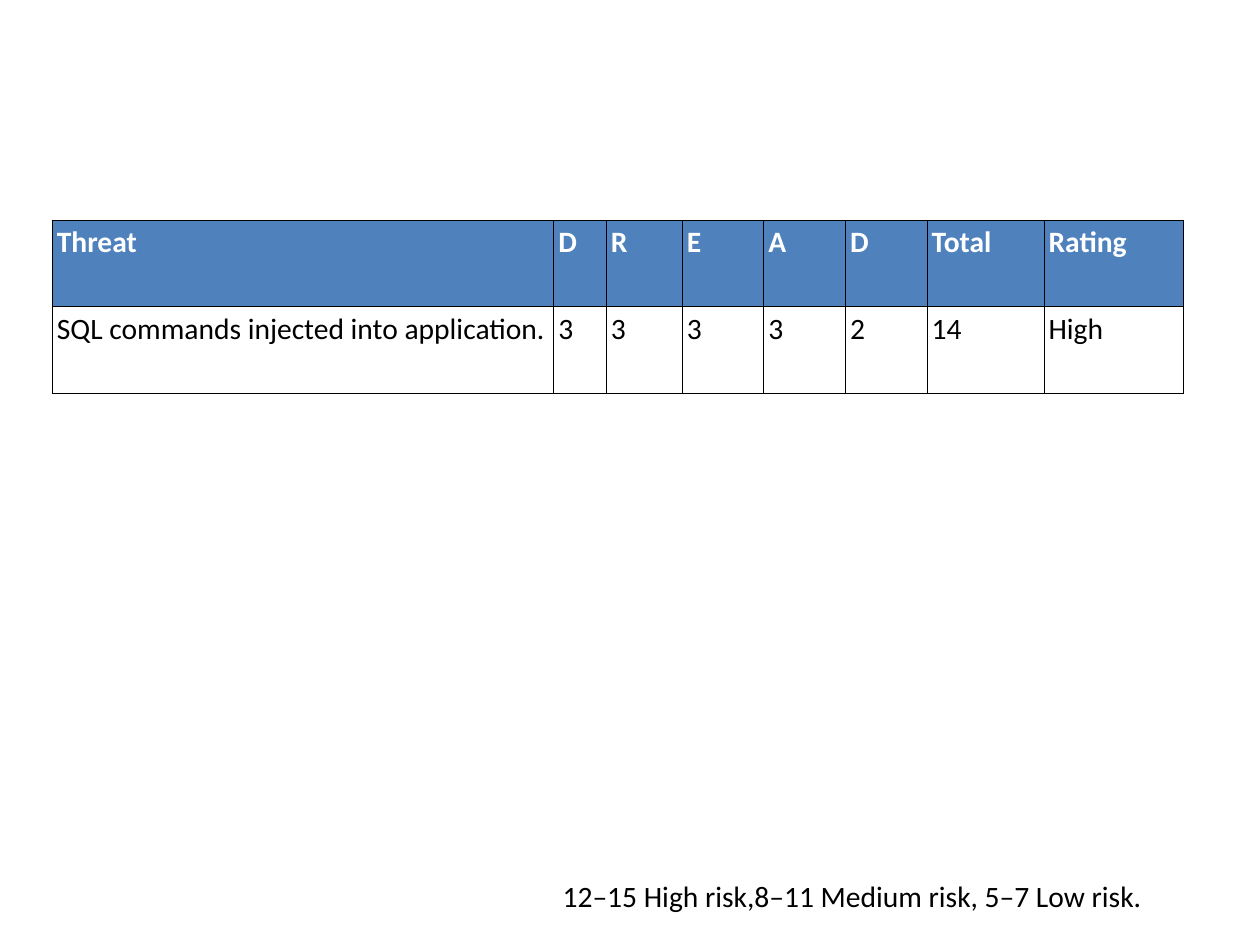
from dataclasses import dataclass

from lxml.etree import SubElement
from pptx import Presentation
from pptx.dml.color import RGBColor
from pptx.enum.text import MSO_AUTO_SIZE as AutoSize
from pptx.oxml.ns import qn
from pptx.slide import Slide
from pptx.table import _Cell as Cell
from pptx.text.text import TextFrame
from pptx.util import Cm, Pt

COLORS = {"header": "4F81BD", "light": "FFFFFF", "dark": "000000"}
FONT_NAME = "Calibri"
FONT_SIZE = Pt(24)
ROW_HEIGHT = Cm(2.48)


@dataclass
class Column:
    width: float
    heading: str
    value: str


THREAT_COLUMNS = [
    Column(14.38, "Threat", "SQL commands injected into application."),
    Column(1.5, "D", "3"),
    Column(2.18, "R", "3"),
    Column(2.34, "E", "3"),
    Column(2.34, "A", "3"),
    Column(2.34, "D", "2"),
    Column(3.35, "Total", "14"),
    Column(4.01, "Rating", "High"),
]


def write_text(frame: TextFrame, text: str, color: str, inset: float, bold: bool = False) -> None:
    frame.margin_left = frame.margin_right = Cm(inset)
    frame.margin_top = frame.margin_bottom = Cm(inset)
    frame.word_wrap = True
    para = frame.paragraphs[0]
    span = para.add_run()
    span.text = text
    span.font.name = FONT_NAME
    span.font.size = FONT_SIZE
    span.font.bold = bold
    span.font.color.rgb = RGBColor.from_string(COLORS[color])


def add_borders(cell: Cell) -> None:
    properties = cell._tc.get_or_add_tcPr()
    for side in ("a:lnL", "a:lnR", "a:lnT", "a:lnB"):
        line = SubElement(properties, qn(side), w=str(Pt(1)))
        fill = SubElement(line, qn("a:solidFill"))
        SubElement(fill, qn("a:srgbClr"), val=COLORS["dark"])


def fill_cell(cell: Cell, text: str, is_header: bool) -> None:
    add_borders(cell)
    if is_header:
        cell.fill.solid()
        cell.fill.fore_color.rgb = RGBColor.from_string(COLORS["header"])
    else:
        cell.fill.background()
    write_text(cell.text_frame, text, "light" if is_header else "dark", 0.13, is_header)
    # Cell margins belong to the cell itself
    cell.margin_left = cell.margin_right = Cm(0.13)
    cell.margin_top = cell.margin_bottom = Cm(0.13)


def add_threat_table(page: Slide) -> None:
    total_width = Cm(sum(column.width for column in THREAT_COLUMNS))
    table = page.shapes.add_table(
        2, len(THREAT_COLUMNS), Cm(1.5), Cm(6.32), total_width, 2 * ROW_HEIGHT
    ).table
    for index, column in enumerate(THREAT_COLUMNS):
        table.columns[index].width = Cm(column.width)
        fill_cell(table.cell(0, index), column.heading, True)
        fill_cell(table.cell(1, index), column.value, False)


def add_risk_scale(page: Slide) -> None:
    box = page.shapes.add_textbox(Cm(15.95), Cm(24.99), Cm(19.56), Cm(1.35))
    write_text(box.text_frame, "12–15 High risk,8–11 Medium risk, 5–7 Low risk.", "dark", 0.18)
    box.text_frame.auto_size = AutoSize.SHAPE_TO_FIT_TEXT


def main() -> None:
    deck = Presentation()
    deck.slide_width, deck.slide_height = Cm(36.12), Cm(27.1)
    page = deck.slides.add_slide(deck.slide_layouts[6])

    # Threat rating table
    add_threat_table(page)

    # Risk scale below the table
    add_risk_scale(page)

    deck.save("out.pptx")


if __name__ == "__main__":
    main()
